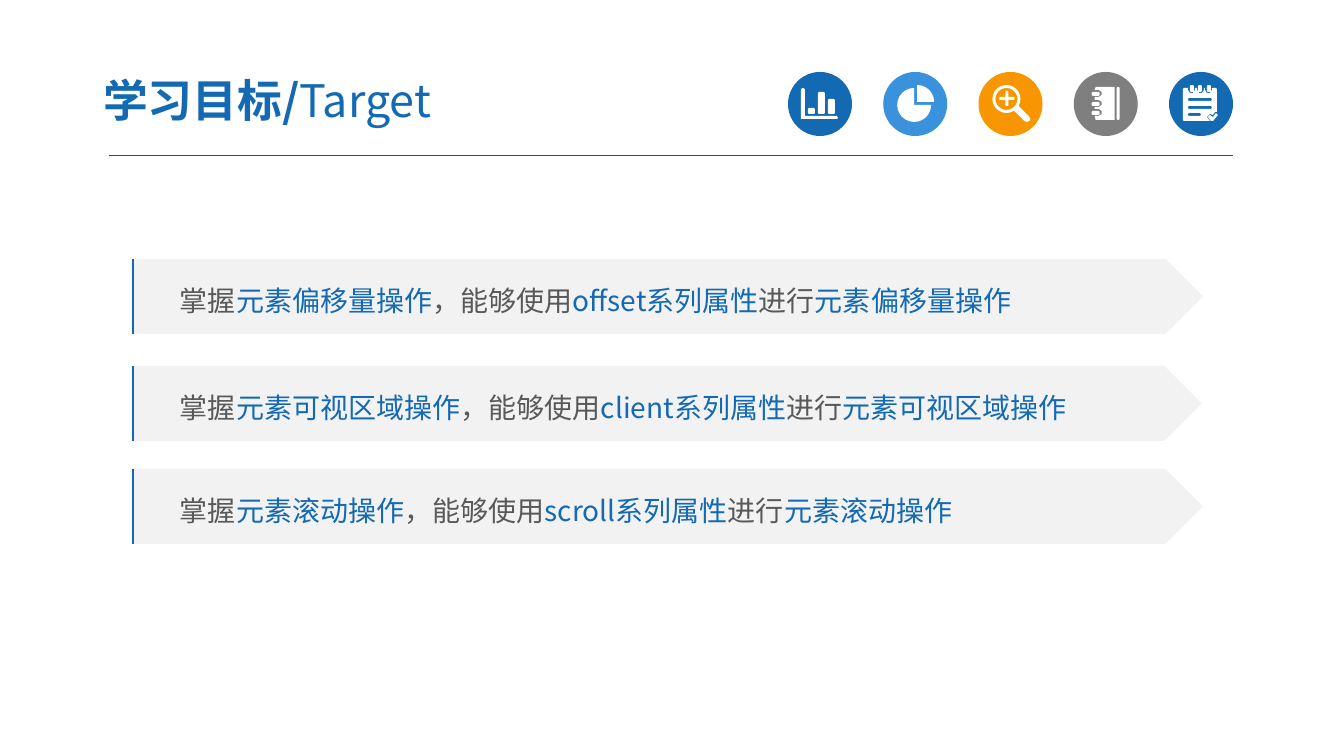
from math import cos, radians, sin

from lxml import etree
from pptx import Presentation
from pptx.dml.color import RGBColor
from pptx.enum.shapes import MSO_CONNECTOR, MSO_SHAPE
from pptx.enum.text import MSO_ANCHOR, MSO_AUTO_SIZE, PP_ALIGN
from pptx.oxml.ns import qn
from pptx.util import Pt

OVAL, PLATE, STRAIGHT = MSO_SHAPE.OVAL, MSO_SHAPE.PENTAGON, MSO_CONNECTOR.STRAIGHT
LEFT, MIDDLE = PP_ALIGN.LEFT, MSO_ANCHOR.MIDDLE

FONT = "Noto Sans CJK SC"
BLUE, SKY, ORANGE, GREY = "1369B2", "3992DB", "F79600", "7F7F7F"
WHITE, PALE, INK, RULE = "FFFFFF", "F2F2F2", "595959", "005B9E"

# Content: (text, colour, bold) runs
TITLE = [("学习目标/", BLUE, True), ("Target", BLUE, False)]
GOALS = [  # top, width, topic, property family
    (259, 1071, "元素偏移量操作", "offset系列属性"),
    (366, 1070, "元素可视区域操作", "client系列属性"),
    (469, 1071, "元素滚动操作", "scroll系列属性"),
]
DISC_LEFT, DISC_RIGHT, DISC_TOP, DISC = 788, 1169, 72, 64


# Outlines in px, measured from the corner of a disc
def bar(x, y, w, h, cut=1):
    r, b = x + w, y + h
    return [(x + cut, y), (r - cut, y), (r, y + cut), (r, b - cut),
            (r - cut, b), (x + cut, b), (x, b - cut), (x, y + cut)]


def arc(cx, cy, radius, start, end, step=15):
    return [(cx + radius * cos(radians(a)), cy + radius * sin(radians(a)))
            for a in range(start, end + 1, step)]


def chart_icon():
    axes = [(13, 17), (15, 16), (17, 17), (17, 44), (49, 44), (50, 46), (49, 47), (13, 47)]
    return [axes] + [bar(x, y, 7, 42 - y) for x, y in [(20, 36), (30, 20), (40, 27)]]


def pie_icon():
    return [[(31, 33)] + arc(31, 33, 17, 0, 270), [(34, 30)] + arc(34, 30, 17, 270, 360)]


def magnifier_icon():
    handle = [(50, 44), (52, 47), (51, 49), (48, 50), (46, 49), (36, 39)]
    plus = [(27, 19), (30, 19), (30, 25), (36, 25), (36, 28), (30, 28),
            (30, 34), (27, 34), (27, 28), (21, 28), (21, 25), (27, 25)]
    return [arc(28, 27, 14, 60, 390) + handle, arc(28, 27, 11, 0, 345), plus]


def notebook_icon():
    cover = [(22, 15), (41, 15), (41, 48), (22, 48)]
    for y in (37, 28, 18):
        cover += [(21, y + 7), (25, y + 7), (28, y + 5), (28, y + 2), (25, y), (21, y)]
    return [cover, bar(43, 15, 3, 33)] + [bar(18, y, 8, 4) for y in (20, 30, 39)]


def notepad_icon():
    sheet = [(14, 17), (15, 16)]
    for x in (19, 28, 36):
        sheet += [(x, 16), (x, 18), (x + 2, 21), (x + 5, 21), (x + 7, 18), (x + 7, 16)]
    sheet += [(47, 16), (48, 17), (48, 40), (46, 40), (44, 43), (41, 42),
              (38, 45), (41, 49), (15, 49), (14, 48)]
    check = [(39, 45), (41, 43), (44, 45), (47, 41), (49, 43), (44, 49), (42, 49)]
    lines = [bar(19, y, w, 3) for y, w in [(26, 24), (34, 24), (41, 13)]]
    return [sheet, check] + lines + [bar(x, 13, 4, 7) for x in (21, 29, 38)]


ICONS = [(BLUE, chart_icon()), (SKY, pie_icon()), (ORANGE, magnifier_icon()),
         (GREY, notebook_icon()), (BLUE, notepad_icon())]


def px(n):
    return round(n * 914400 / 100.8)


def rgb(value):
    return RGBColor.from_string(value)


def paint(s, fill):
    s.shadow.inherit = False
    s.fill.solid()
    s.fill.fore_color.rgb = rgb(fill)
    s.line.fill.background()


def add_shape(shapes, kind, x, y, w, h, fill):
    s = shapes.add_shape(kind, px(x), px(y), px(w), px(h))
    paint(s, fill)
    return s


def add_outline(shapes, left, top, contours, close=True):
    placed = [[(px(left + x), px(top + y)) for x, y in contour] for contour in contours]
    builder = shapes.build_freeform(*placed[0][0])
    for i, points in enumerate(placed):
        if i:
            builder.move_to(*points[0])
        builder.add_line_segments(points[1:], close=close)
    return builder.convert_to_shape()


def write(s, runs, size, insets, spacing=1.0):
    tf = s.text_frame
    frame = {"word_wrap": True, "auto_size": MSO_AUTO_SIZE.NONE, "vertical_anchor": MIDDLE}
    sides = ("margin_left", "margin_top", "margin_right", "margin_bottom")
    frame.update(zip(sides, map(px, insets)))
    for name, value in frame.items():
        setattr(tf, name, value)
    p = tf.paragraphs[0]
    p.alignment, p.line_spacing = LEFT, spacing
    for text, color, bold in runs:
        r = p.add_run()
        r.text = text
        for name, value in {"name": FONT, "size": Pt(size), "bold": bold}.items():
            setattr(r.font, name, value)
        r.font.color.rgb = rgb(color)
        etree.SubElement(r._r.get_or_add_rPr(), qn("a:ea")).set("typeface", FONT)


prs = Presentation()
prs.slide_width, prs.slide_height = px(1344), px(756)
slide = prs.slides.add_slide(prs.slide_layouts[5])

# Title and rule below it
title = slide.shapes.title
title.left, title.top, title.width, title.height = map(px, (90, 63, 526, 73))
write(title, TITLE, 32, (13, 7, 13, 7))
rule = slide.shapes.add_connector(STRAIGHT, px(109), px(156), px(1233), px(156))
rule.line.color.rgb = rgb(RULE)
rule.line.width = Pt(0.75)
etree.SubElement(rule._element.spPr, qn("a:effectLst"))

# Icon discs
step = (DISC_RIGHT - DISC_LEFT) / (len(ICONS) - 1)
for i, (color, contours) in enumerate(ICONS):
    left = DISC_LEFT + i * step
    shapes = slide.shapes.add_group_shape().shapes
    add_shape(shapes, OVAL, left, DISC_TOP, DISC, DISC, color)
    paint(add_outline(shapes, left, DISC_TOP, contours), WHITE)

# Goals, each a plate with a bar on its left edge
for top, width, topic, family in GOALS:
    shapes = slide.shapes.add_group_shape().shapes
    plate = add_shape(shapes, PLATE, 132, top, width, 75, PALE)
    runs = [("掌握", INK, False), (topic, BLUE, False), ("，能够使用", INK, False),
            (family, BLUE, False), ("进行", INK, False), (topic, BLUE, False)]
    write(plate, runs, 20, (48, 5, 10, 5), 1.2)
    edge = add_outline(shapes, 133, top, [[(0, 75), (0, 0)]], close=False)
    edge.width = px(16)
    edge.shadow.inherit = False
    edge.fill.background()
    edge.line.color.rgb = rgb(BLUE)
    edge.line.width = Pt(1.5)

prs.save("out.pptx")
